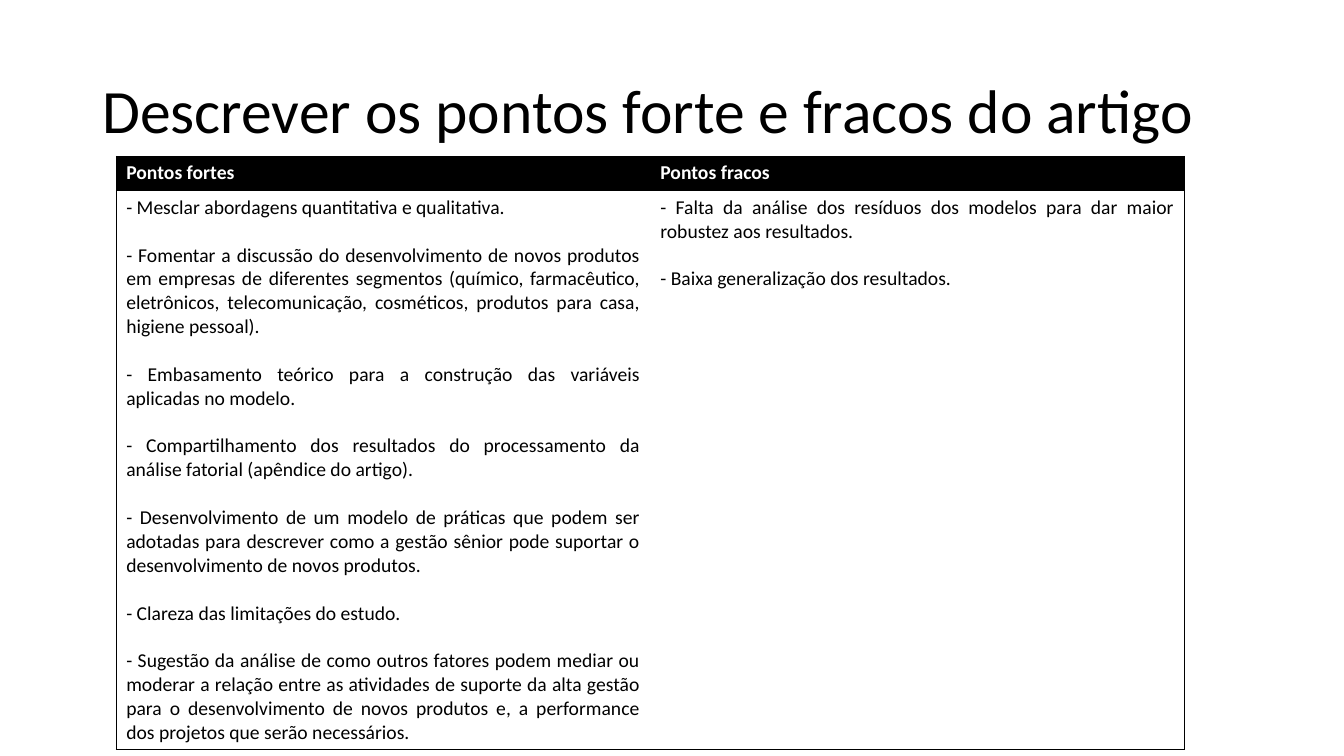
from lxml import etree
from pptx import Presentation
from pptx.dml.color import RGBColor
from pptx.enum import text
from pptx.oxml import ns
from pptx.util import Pt

BLACK = RGBColor(0x00, 0x00, 0x00)
WHITE = RGBColor(0xFF, 0xFF, 0xFF)

STRENGTHS = [
    "- Mesclar abordagens quantitativa e qualitativa.",
    "- Fomentar a discussão do desenvolvimento de novos produtos em empresas de "
    "diferentes segmentos (químico, farmacêutico, eletrônicos, telecomunicação, "
    "cosméticos, produtos para casa, higiene pessoal).",
    "- Embasamento teórico para a construção das variáveis aplicadas no modelo.",
    "- Compartilhamento dos resultados do processamento da análise fatorial "
    "(apêndice do artigo).",
    "- Desenvolvimento de um modelo de práticas que podem ser adotadas para descrever "
    "como a gestão sênior pode suportar o desenvolvimento de novos produtos.",
    "- Clareza das limitações do estudo.",
    "- Sugestão da análise de como outros fatores podem mediar ou moderar a relação "
    "entre as atividades de suporte da alta gestão para o desenvolvimento de novos "
    "produtos e, a performance dos projetos que serão necessários.",
]
WEAKNESSES = [
    "- Falta da análise dos resíduos dos modelos para dar maior robustez aos resultados.",
    "- Baixa generalização dos resultados.",
]


class SlideBuilder:
    """Holds the style and the current slide."""
    font_name = "Calibri"
    title_size = Pt(44)
    body_size = Pt(14)
    item_gap = Pt(17.1)
    border_width = Pt(0.5)

    def __init__(self, page):
        self.page = page

    def style(self, para, size, color, bold=False):
        para.font.name = self.font_name
        para.font.size = size
        para.font.color.rgb = color
        para.font.bold = bold

    def title(self, words, left, top, width, height):
        box = self.page.shapes.add_textbox(left, top, width, height)
        frame = box.text_frame
        frame.word_wrap = True
        frame.vertical_anchor = text.MSO_ANCHOR.MIDDLE
        para = frame.paragraphs[0]
        para.text = words
        para.line_spacing = 0.9
        self.style(para, self.title_size, BLACK)

    def borders(self, cell, visible):
        properties = cell._tc.get_or_add_tcPr()
        for side in "LRTB":
            line = etree.SubElement(properties, ns.qn(f"a:ln{side}"), w=str(self.border_width))
            if side in visible:
                fill = etree.SubElement(line, ns.qn("a:solidFill"))
                etree.SubElement(fill, ns.qn("a:srgbClr"), val=str(BLACK))
            else:
                etree.SubElement(line, ns.qn("a:noFill"))

    def cell(self, cell, items, header, visible):
        self.borders(cell, visible)
        cell.fill.solid()
        cell.fill.fore_color.rgb = BLACK if header else WHITE
        frame = cell.text_frame
        for index, item in enumerate(items):
            para = frame.add_paragraph() if index else frame.paragraphs[0]
            para.text = item
            para.alignment = text.PP_ALIGN.JUSTIFY
            para.space_before = self.item_gap if index else Pt(0)
            self.style(para, self.body_size, WHITE if header else BLACK, header)

    def table(self, columns, left, top, width, row_heights):
        frame = self.page.shapes.add_table(
            len(row_heights), len(columns), left, top, width, sum(row_heights))
        table = frame.table
        for row, height in zip(table.rows, row_heights):
            row.height = height
        for col, (heading, items) in enumerate(columns):
            outer = "L" if col == 0 else "R"
            self.cell(table.cell(0, col), [heading], True, outer + "T")
            self.cell(table.cell(1, col), items, False, outer + "TB")


deck = Presentation()
deck.slide_width, deck.slide_height = Pt(960), Pt(540)
builder = SlideBuilder(deck.slides.add_slide(deck.slide_layouts[6]))

# Title
builder.title("Descrever os pontos forte e fracos do artigo",
              Pt(66), Pt(28.8), Pt(828), Pt(104.4))

# Strengths and weaknesses
builder.table([("Pontos fortes", STRENGTHS), ("Pontos fracos", WEAKNESSES)],
              Pt(83), Pt(111.6), Pt(763), [Pt(24.5), Pt(399)])

deck.save("out.pptx")
